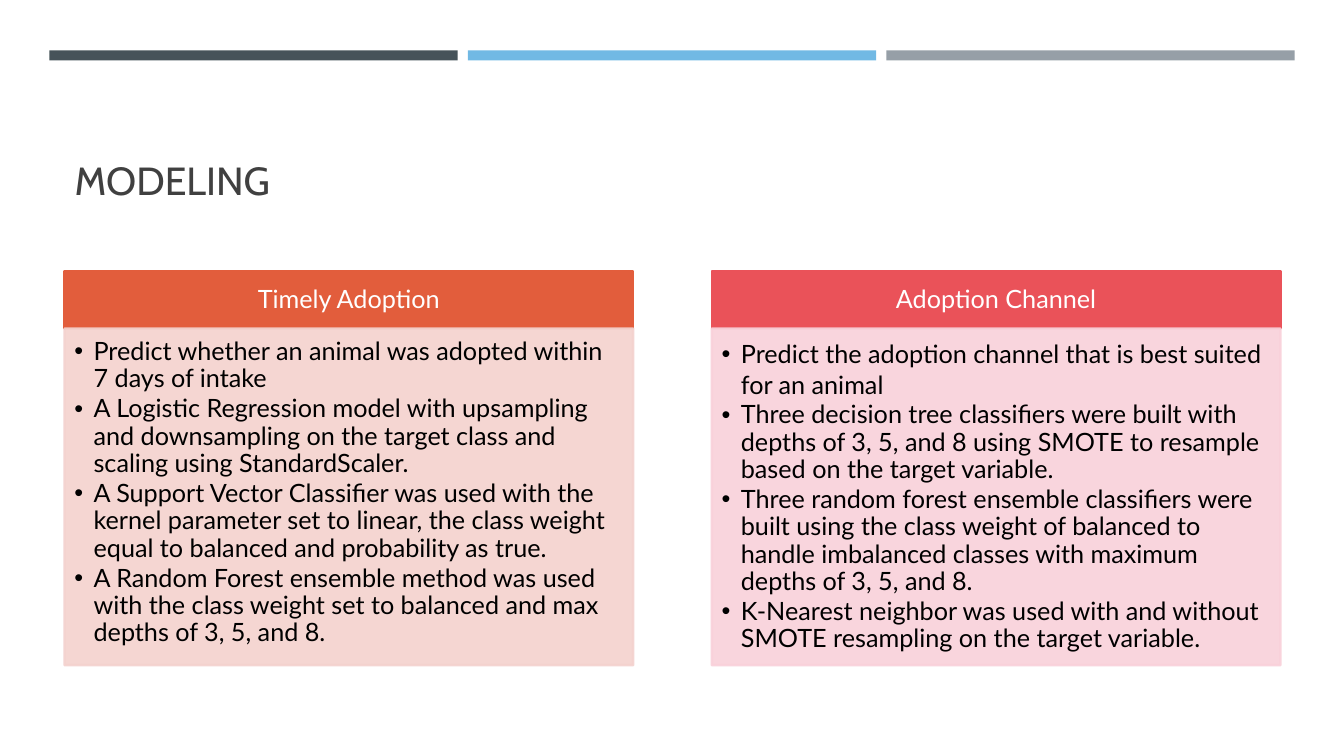
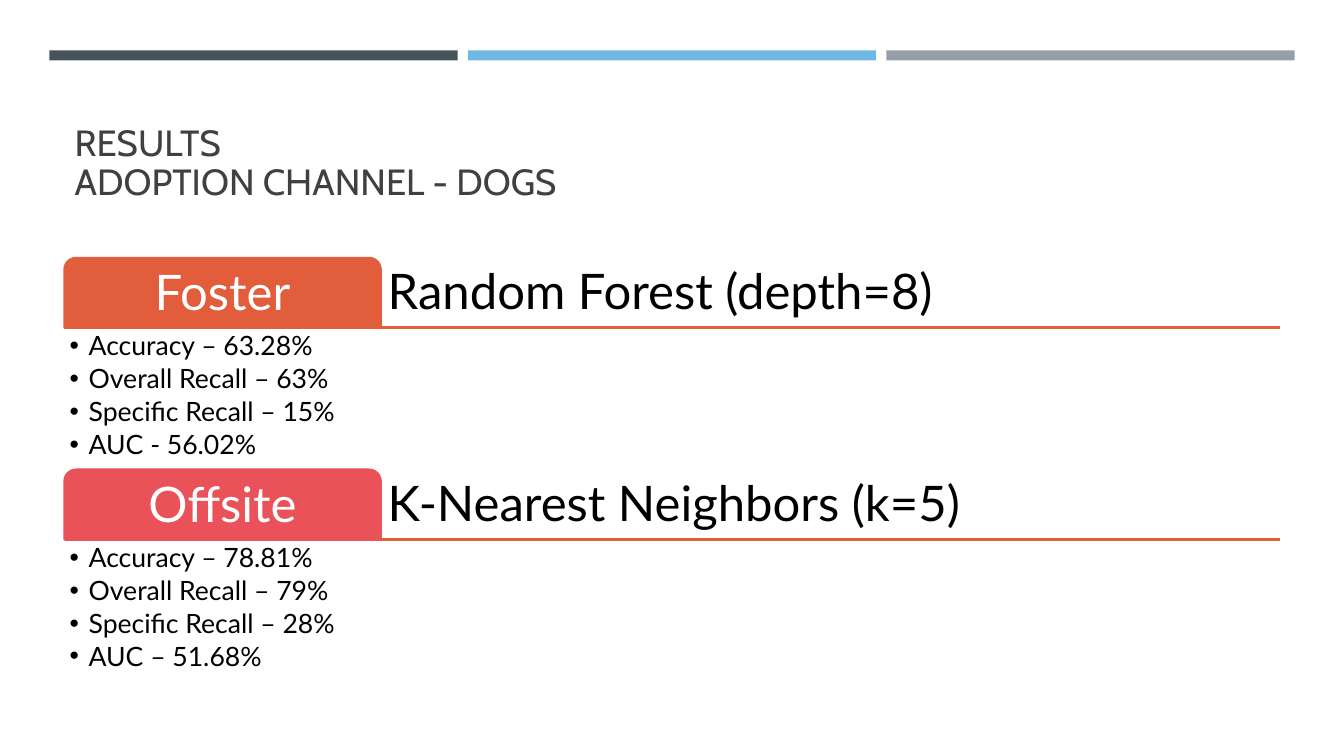
from lxml.etree import SubElement
from pptx import Presentation
from pptx.dml.color import RGBColor
from pptx.enum.shapes import MSO_CONNECTOR as Connector, MSO_SHAPE as Shape
from pptx.enum.text import MSO_ANCHOR as Anchor, PP_ALIGN as Align
from pptx.oxml.ns import qn
from pptx.util import Inches, Pt

SLATE = RGBColor(0x46, 0x53, 0x59)
SKY = RGBColor(0x71, 0xB9, 0xE4)
GRAY = RGBColor(0x96, 0x9F, 0xA7)
CHARCOAL = RGBColor(0x40, 0x40, 0x40)
ORANGE = RGBColor(0xE2, 0x5D, 0x3C)
CORAL = RGBColor(0xEA, 0x52, 0x59)
PALE_ORANGE = RGBColor(0xF4, 0xD2, 0xCE)
PALE_CORAL = RGBColor(0xF9, 0xD1, 0xDA)
WHITE = RGBColor(0xFF, 0xFF, 0xFF)
BLACK = RGBColor(0, 0, 0)

TITLE_FONT, BODY_FONT = "Cabin", "Lato"
SLIDE_W, SLIDE_H = 13.33, 7.5
LEFT, CONTENT_W = 0.64, 12.06
COLUMN_W = 5.64
COLUMN_STEP = CONTENT_W - COLUMN_W
HEADER_TOP, HEADER_H, BODY_H = 2.69, 0.57, 3.34
RESULT_TOP, RESULT_STEP, TAB_H, METRICS_H = 2.56, 2.1, 0.69, 1.38
TAB_W = CONTENT_W * 0.26
BAND_LEFT, BAND_TOP, BAND_W, BAND_H, BAND_STEP = 0.49, 0.5, 4.05, 0.1, 4.15
BULLET_INDENT = 0.19

MODELS = [
    ("Timely Adoption", ORANGE, PALE_ORANGE, 0.9, [
        "Predict whether an animal was adopted within 7 days of intake",
        "A Logistic Regression model with upsampling and downsampling on the target class "
        "and scaling using StandardScaler.",
        "A Support Vector Classifier was used with the kernel parameter set to linear, "
        "the class weight equal to balanced and probability as true.",
        "A Random Forest ensemble method was used with the class weight set to balanced "
        "and max depths of 3, 5, and 8.",
    ]),
    ("Adoption Channel", CORAL, PALE_CORAL, 1.0, [
        "Predict the adoption channel that is best suited for an animal",
        "Three decision tree classifiers were built with depths of 3, 5, and 8 using SMOTE "
        "to resample based on the target variable.",
        "Three random forest ensemble classifiers were built using the class weight of "
        "balanced to handle imbalanced classes with maximum depths of 3, 5, and 8.",
        "K-Nearest neighbor was used with and without SMOTE resampling on the target variable.",
    ]),
]

RESULTS = [
    ("Foster", ORANGE, "Random Forest (depth=8)", [
        "Accuracy – 63.28%", "Overall Recall – 63%", "Specific Recall – 15%", "AUC - 56.02%"]),
    ("Offsite", CORAL, "K-Nearest Neighbors (k=5)", [
        "Accuracy – 78.81%", "Overall Recall – 79%", "Specific Recall – 28%", "AUC – 51.68%"]),
]


def box(left, top, width, height):
    """Convert a rectangle in inches to slide units."""
    return [Inches(length) for length in (left, top, width, height)]


def add_run(paragraph, text, size, color, font=BODY_FONT):
    """Append one formatted run."""
    run = paragraph.add_run()
    run.text = text
    run.font.name, run.font.size = font, Pt(size)
    run.font.color.rgb = color


def set_frame(shape, anchor, insets):
    """Wrap, anchor and inset the text of a shape, and return its frame."""
    frame = shape.text_frame
    frame.word_wrap, frame.vertical_anchor = True, anchor
    (frame.margin_left, frame.margin_top,
     frame.margin_right, frame.margin_bottom) = box(*insets)
    return frame


def write_label(shape, text, size, color, align, anchor, insets):
    """Write a single-paragraph label into a shape."""
    paragraph = set_frame(shape, anchor, insets).paragraphs[0]
    paragraph.alignment, paragraph.line_spacing = align, 0.9
    add_run(paragraph, text, size, color)


def write_bullets(shape, items, size, gap, insets, first_spacing=0.9):
    """Write a bulleted list into a shape."""
    frame = set_frame(shape, Anchor.TOP, insets)
    for index, item in enumerate(items):
        paragraph = frame.add_paragraph() if index else frame.paragraphs[0]
        paragraph.alignment = Align.LEFT
        paragraph.line_spacing = 0.9 if index else first_spacing
        paragraph.space_after = Pt(gap)
        properties = paragraph._p.get_or_add_pPr()
        properties.set("marL", str(Inches(BULLET_INDENT)))
        properties.set("indent", str(-Inches(BULLET_INDENT)))
        SubElement(properties, qn("a:buFont"), typeface="Arial")
        SubElement(properties, qn("a:buChar"), char="•")
        add_run(paragraph, item, size, BLACK)


def add_block(slide, kind, bounds, color, opacity=None, outlined=True):
    """Add a filled shape, outlined in its own colour."""
    block = slide.shapes.add_shape(kind, *box(*bounds))
    block.shadow.inherit = False
    block.fill.solid()
    block.fill.fore_color.rgb = color
    if outlined:
        block.line.color.rgb, block.line.width = color, Pt(1.75)
    else:
        block.line.fill.background()
    if opacity:
        for tint in block.element.spPr.iter(qn("a:srgbClr")):
            SubElement(tint, qn("a:alpha"), val=str(opacity * 1000))
    return block


def add_rule(slide, top, color):
    """Draw a horizontal rule across the content width."""
    rule = slide.shapes.add_connector(
        Connector.STRAIGHT, *box(LEFT, top, LEFT + CONTENT_W, top))
    rule.line.color.rgb, rule.line.width = color, Pt(1.75)
    SubElement(rule.element.spPr, qn("a:effectLst"))


def add_bands(slide):
    """Place the three top bands on the layout that the slide uses."""
    for index, color in enumerate((SLATE, SKY, GRAY)):
        bounds = (BAND_LEFT + index * BAND_STEP, BAND_TOP, BAND_W, BAND_H)
        band = add_block(slide, Shape.RECTANGLE, bounds, color, outlined=False)
        slide.slide_layout.shapes.element.append(band.element)


def add_titled_slide(deck, lines, size):
    """Add a title-only slide with its formatted title."""
    slide = deck.slides.add_slide(deck.slide_layouts[5])
    title = slide.shapes.title
    title.left, title.top, title.width, title.height = box(LEFT, 0.77, CONTENT_W, 1.3)
    paragraph = set_frame(title, Anchor.BOTTOM, (0.1, 0.05, 0.1, 0.05)).paragraphs[0]
    paragraph.alignment, paragraph.line_spacing = Align.LEFT, 0.9
    for index, line in enumerate(lines):
        if index:
            paragraph.add_line_break()
        add_run(paragraph, line, size, CHARCOAL, TITLE_FONT)
    return slide


def add_model_column(slide, column, heading, color, tint, first_spacing, items):
    """Add a headed column of model notes."""
    left = LEFT + column * COLUMN_STEP
    header = add_block(slide, Shape.RECTANGLE, (left, HEADER_TOP, COLUMN_W, HEADER_H), color)
    write_label(header, heading, 18, WHITE, Align.CENTER, Anchor.MIDDLE,
                (0.14, 0.08, 0.14, 0.08))
    body = add_block(slide, Shape.RECTANGLE,
                     (left, HEADER_TOP + HEADER_H, COLUMN_W, BODY_H), tint, opacity=90)
    write_bullets(body, items, 18, 2.2, (0.1, 0.1, 0.14, 0.16), first_spacing)


def add_result(slide, row, channel, color, model, metrics):
    """Add a channel tab, its model name, rule and metrics."""
    top = RESULT_TOP + row * RESULT_STEP
    insets = (0.07,) * 4
    add_rule(slide, top + TAB_H, ORANGE)
    model_name = slide.shapes.add_textbox(
        *box(LEFT + TAB_W, top, CONTENT_W - TAB_W, TAB_H))
    write_label(model_name, model, 35, BLACK, Align.LEFT, Anchor.BOTTOM, insets)
    tab = add_block(slide, Shape.ROUND_2_SAME_RECTANGLE, (LEFT, top, TAB_W, TAB_H), color)
    write_label(tab, channel, 35, WHITE, Align.CENTER, Anchor.MIDDLE, insets)
    metric_list = slide.shapes.add_textbox(*box(LEFT, top + TAB_H, CONTENT_W, METRICS_H))
    write_bullets(metric_list, metrics, 19, 3, (0.05,) * 4)


def main():
    """Build and save the deck."""
    deck = Presentation()
    deck.slide_width, deck.slide_height = Inches(SLIDE_W), Inches(SLIDE_H)
    modeling = add_titled_slide(deck, ["MODELING"], 28)
    add_bands(modeling)
    for column, model in enumerate(MODELS):
        add_model_column(modeling, column, *model)
    results = add_titled_slide(deck, ["RESULTS", "ADOPTION CHANNEL - DOGS"], 26)
    for row, result in enumerate(RESULTS):
        add_result(results, row, *result)
    deck.save("out.pptx")


if __name__ == "__main__":
    main()
